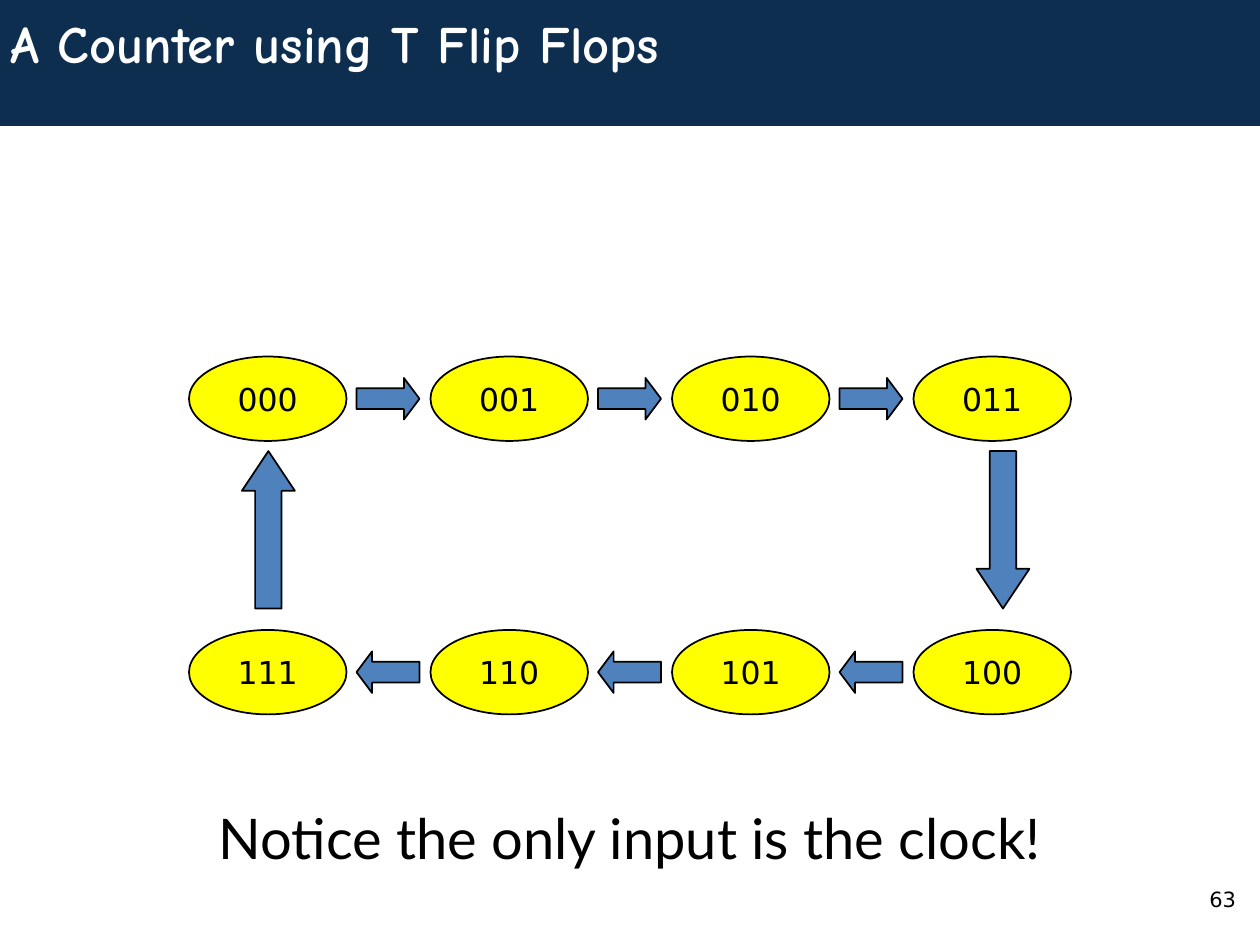
from dataclasses import dataclass

from pptx import Presentation
from pptx.dml.color import RGBColor
from pptx.enum import shapes, text
from pptx.util import Inches, Pt


@dataclass(frozen=True)
class Theme:
    band: str = "0D2E4F"
    state: str = "FFFF00"
    arrow: str = "4F81BD"
    ink: str = "000000"
    light: str = "FFFFFF"
    title_font: str = "Comic Neue"
    label_font: str = "DejaVu Sans"
    body_font: str = "Lato"
    title_size: int = 30
    body_size: int = 32
    state_size: int = 18
    number_size: int = 12


THEME = Theme()
KIND = shapes.MSO_SHAPE

TOP_STATES = ["000", "001", "010", "011"]
BOTTOM_STATES = ["111", "110", "101", "100"]
LEFT, PITCH = 1.5, 23 / 12
TOP_ROW, BOTTOM_ROW = 2.83, 5
STATE_W, STATE_H = 1.25, 0.67
ARROW_W, ARROW_H = 0.5, 0.33
ARROW_DX, ARROW_DY = 1.33, 0.17


def inches(*values):
    return [Inches(v) for v in values]


def write(shape, words, name, size, color, align=text.PP_ALIGN.LEFT,
          anchor=text.MSO_ANCHOR.TOP, wrap=True, bold=False, margin=0.1):
    tf = shape.text_frame
    frame_format = {
        "word_wrap": wrap, "vertical_anchor": anchor,
        "auto_size": text.MSO_AUTO_SIZE.NONE,
        "margin_left": Inches(margin), "margin_right": Inches(margin),
        "margin_top": Inches(0.05), "margin_bottom": Inches(0.05),
    }
    for key, value in frame_format.items():
        setattr(tf, key, value)
    p = tf.paragraphs[0]
    p.alignment = align
    p.space_before = Pt(0)
    r = p.add_run()
    r.text = words
    for key, value in {"name": name, "size": Pt(size), "bold": bold}.items():
        setattr(r.font, key, value)
    r.font.color.rgb = RGBColor.from_string(color)


def add_shape(s, kind, box, fill, line=THEME.ink):
    """Add a flat preset shape; a line of None leaves it without outline."""
    sp = s.shapes.add_shape(kind, *inches(*box))
    sp.shadow.inherit = False
    sp.fill.solid()
    sp.fill.fore_color.rgb = RGBColor.from_string(fill)
    if line is None:
        sp.line.fill.background()
    else:
        sp.line.color.rgb = RGBColor.from_string(line)
        sp.line.width = Pt(1)
    return sp


def add_title(s, words):
    title = s.shapes.title
    title.left, title.top, title.width, title.height = inches(0, 0, 10, 0.67)
    write(title, words, THEME.title_font, THEME.title_size, THEME.light,
          anchor=text.MSO_ANCHOR.MIDDLE, bold=True, margin=0.08)
    band = add_shape(s, KIND.RECTANGLE, (0, 0, 10, 1), THEME.band, line=None)
    title._element.addprevious(band._element)


def add_text(s, box, words, name, size, **options):
    write(s.shapes.add_textbox(*inches(*box)), words, name, size, THEME.ink,
          **options)


def add_arrow(s, kind, box, head):
    sp = add_shape(s, kind, box, THEME.arrow)
    sp.adjustments[0] = 0.5
    sp.adjustments[1] = head


def add_row(s, states, top, arrow_kind):
    """Lay out states left to right with an arrow in each gap."""
    for i, state in enumerate(states):
        x = LEFT + i * PITCH
        sp = add_shape(s, KIND.OVAL, (x, top, STATE_W, STATE_H), THEME.state)
        write(sp, state, THEME.label_font, THEME.state_size, THEME.ink,
              align=text.PP_ALIGN.CENTER, anchor=text.MSO_ANCHOR.MIDDLE,
              wrap=False)
        if i < len(states) - 1:
            box = (x + ARROW_DX, top + ARROW_DY, ARROW_W, ARROW_H)
            add_arrow(s, arrow_kind, box, head=0.375)


def main():
    prs = Presentation()
    prs.slide_width, prs.slide_height = inches(10, 7.5)
    s = prs.slides.add_slide(prs.slide_layouts[5])

    add_title(s, "A Counter using T Flip Flops")
    add_row(s, TOP_STATES, TOP_ROW, KIND.RIGHT_ARROW)
    add_row(s, BOTTOM_STATES, BOTTOM_ROW, KIND.LEFT_ARROW)
    for kind, x in ((KIND.DOWN_ARROW, 7.75), (KIND.UP_ARROW, 1.92)):
        add_arrow(s, kind, (x, 3.58, 0.42, 1.25), head=0.75)
    add_text(s, (1, 6.33, 8, 0.75), "Notice the only input is the clock!",
             THEME.body_font, THEME.body_size, align=text.PP_ALIGN.CENTER)
    add_text(s, (9.5, 6.99, 0.5, 0.5), "63",
             THEME.label_font, THEME.number_size)

    prs.save("out.pptx")


if __name__ == "__main__":
    main()
